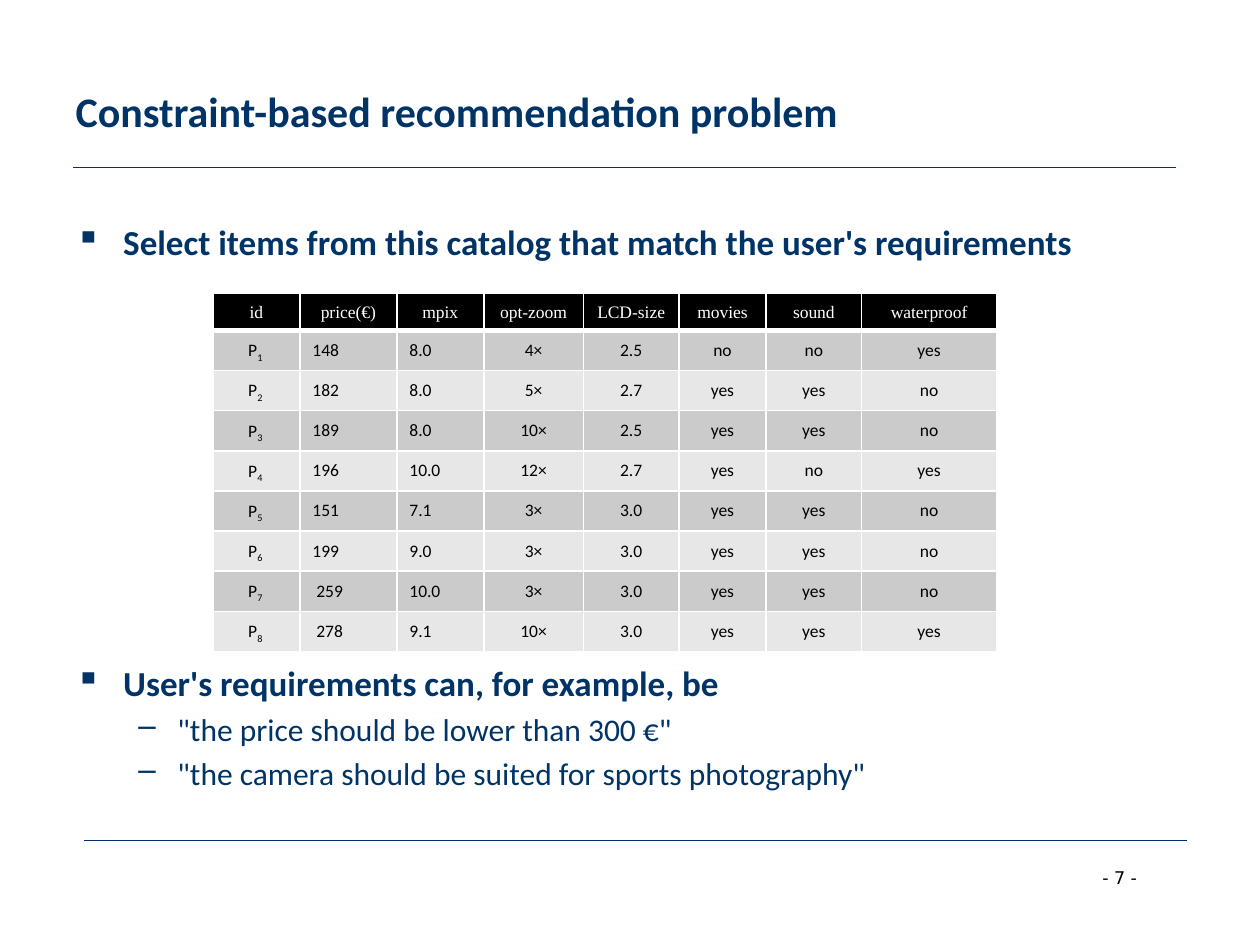
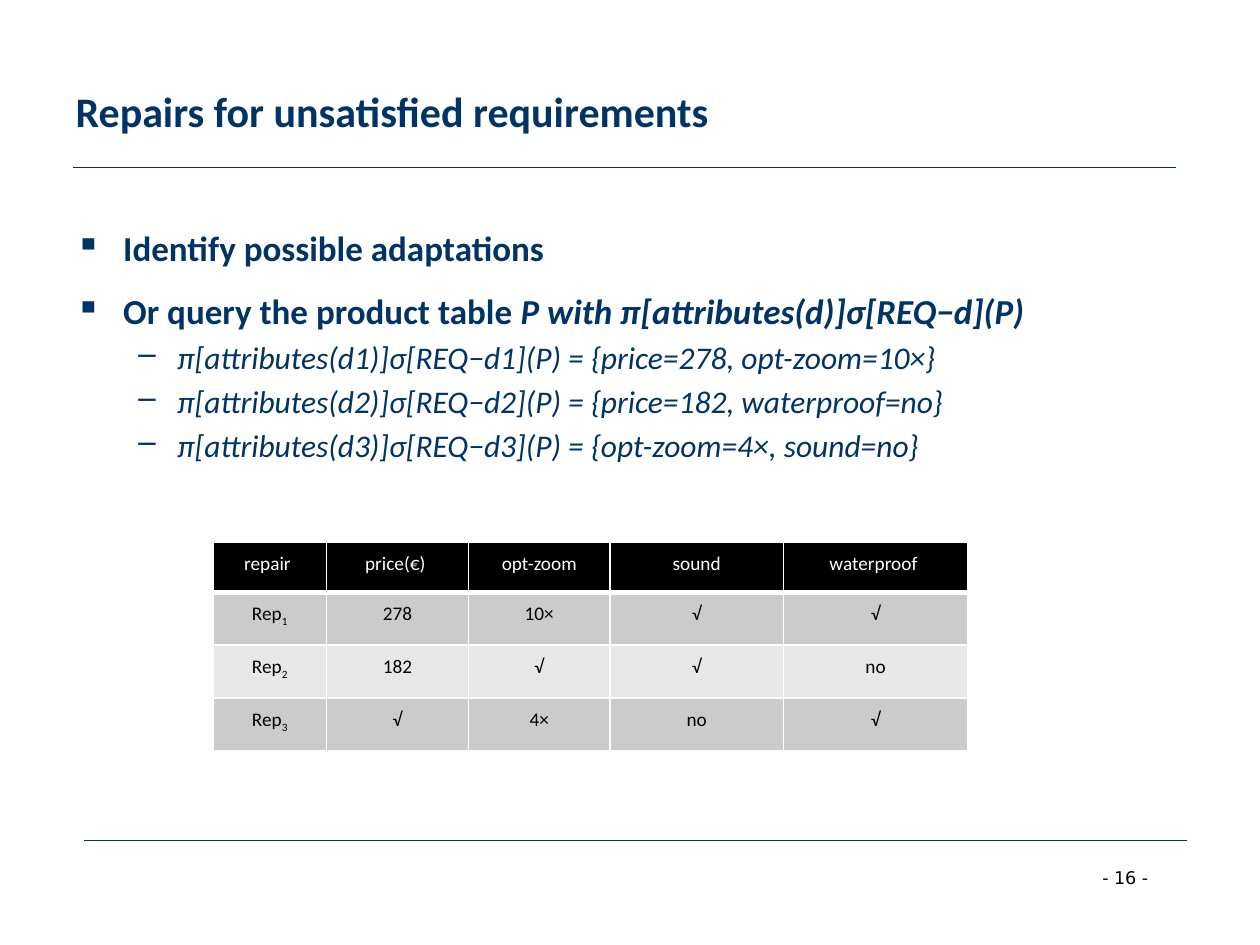
from dataclasses import dataclass

from lxml.etree import SubElement
from pptx import Presentation
from pptx.dml.color import RGBColor
from pptx.enum.shapes import MSO_CONNECTOR
from pptx.enum.text import MSO_ANCHOR, PP_ALIGN
from pptx.oxml.ns import qn
from pptx.util import Inches, Pt


@dataclass(frozen=True)
class Theme:
    navy: RGBColor = RGBColor(0x00, 0x33, 0x66)
    black: RGBColor = RGBColor(0x00, 0x00, 0x00)
    white: RGBColor = RGBColor(0xFF, 0xFF, 0xFF)
    bands: tuple = (RGBColor(0xCB, 0xCB, 0xCB), RGBColor(0xE7, 0xE7, 0xE7))
    sans: str = "Calibri"
    serif: str = "Times New Roman"
    page: str = "DejaVu Sans"
    title: int = 24
    point: int = 20
    sub: int = 18
    foot: int = 10
    rule: float = 0.75


LEVELS = (
    {"mark": "▪", "left": 0.38, "hang": 0.38, "gap": 12},
    {"mark": "–", "left": 0.81, "hang": 0.31, "gap": 3.6},
)

CATALOG = """id|price(€)|mpix|opt-zoom|LCD-size|movies|sound|waterproof
P_1 |148|8.0|4×|2.5|no|no|yes
P_2 |182|8.0|5×|2.7|yes|yes|no
P_3 |189|8.0|10×|2.5|yes|yes|no
P_4 |196|10.0|12×|2.7|yes|no|yes
P_5 |151|7.1|3×|3.0|yes|yes|no
P_6 |199|9.0|3×|3.0|yes|yes|no
P_7 | 259|10.0|3×|3.0|yes|yes|no
P_8 | 278|9.1|10×|3.0|yes|yes|yes"""

REPAIRS = """repair |price(€) |opt-zoom|sound|waterproof 
Rep_1|278|10×|√|√
Rep_2|182|√|√|no
Rep_3|√|4×|no|√"""


class Deck:
    """Hold the style and the current slide, and draw each kind of element."""

    def __init__(self, theme):
        self.theme = theme
        self.show = Presentation()
        self.show.slide_width, self.show.slide_height = Inches(10), Inches(7.5)
        self.slide = None

    def style(self, item, form):
        for name, value in form.items():
            setattr(item, name, value)

    def words(self, para, text, color, **form):
        run = para.add_run()
        run.text = text
        self.style(run.font, form)
        run.font.color.rgb = color
        return run

    def start(self, title, number):
        look = self.theme
        self.slide = self.show.slides.add_slide(self.show.slide_layouts[5])
        for left, top in ((0.58, 1.33), (0.67, 6.67)):
            self.line(left, top, 8.75)
        self.foot(f"- {number} -")
        head = self.slide.shapes.title
        self.style(head, {"left": Inches(0.5), "top": Inches(0.25),
                          "width": Inches(9), "height": Inches(1.25)})
        self.style(head.text_frame, {"vertical_anchor": MSO_ANCHOR.MIDDLE,
                                     "word_wrap": True})
        para = head.text_frame.paragraphs[0]
        para.alignment = PP_ALIGN.LEFT
        self.words(para, title, look.navy, name=look.sans,
                   size=Pt(look.title), bold=True)

    def line(self, left, top, width):
        rule = self.slide.shapes.add_connector(
            MSO_CONNECTOR.STRAIGHT, Inches(left), Inches(top),
            Inches(left + width), Inches(top))
        rule.line.color.rgb = self.theme.navy
        rule.line.width = Pt(self.theme.rule)
        SubElement(rule._element.spPr, qn("a:effectLst"))

    def box(self, left, top, width, height):
        frame = self.slide.shapes.add_textbox(
            Inches(left), Inches(top), Inches(width), Inches(height)).text_frame
        frame.word_wrap = True
        return frame

    def foot(self, text):
        look = self.theme
        frame = self.box(8.65, 6.83, 0.76, 0.27)
        self.words(frame.paragraphs[0], text, look.black,
                   name=look.page, size=Pt(look.foot))

    def body(self, top, height, items):
        look = self.theme
        frame = self.box(0.5, top, 9, height)
        for order, (level, parts, *gap) in enumerate(items):
            para = frame.add_paragraph() if order else frame.paragraphs[0]
            rank = LEVELS[level]
            props = para._p.get_or_add_pPr()
            props.set("marL", str(Inches(rank["left"])))
            props.set("indent", str(-Inches(rank["hang"])))
            SubElement(props, qn("a:buChar")).set("char", rank["mark"])
            space = gap[0] if gap else rank["gap"]
            self.style(para, {"level": level,
                              "space_before": Pt(space if order else 0)})
            for text, slant in parts:
                self.words(para, text, look.navy, name=look.sans,
                           size=Pt(look.sub if level else look.point),
                           bold=not level, italic=slant)

    def edge(self, cell, side, width):
        line = SubElement(cell._tc.get_or_add_tcPr(), qn(f"a:ln{side}"))
        line.set("w", str(Pt(width)))
        fill = SubElement(line, qn("a:solidFill"))
        SubElement(fill, qn("a:srgbClr")).set("val", str(self.theme.white))

    def table(self, top, source, widths, heights, size, head, left=(), after=0):
        look = self.theme
        rows = [line.split("|") for line in source.split("\n")]
        grid = self.slide.shapes.add_table(
            len(rows), len(widths), Inches(1.69), Inches(top),
            Inches(sum(widths)), Inches(sum(heights))).table
        for col, width in zip(grid.columns, widths):
            col.width = Inches(width)
        for row, height in zip(grid.rows, heights):
            row.height = Inches(height)
        for y, row in enumerate(rows):
            for x, text in enumerate(row):
                cell = grid.cell(y, x)
                for side in "LRTB":
                    thick = (side, y) in (("B", 0), ("T", 1))
                    self.edge(cell, side, 3 if thick else 1)
                cell.fill.solid()
                cell.fill.fore_color.rgb = look.bands[(y - 1) % 2] if y else look.black
                para = cell.text_frame.paragraphs[0]
                flush = y and x in left
                self.style(para, {
                    "alignment": PP_ALIGN.LEFT if flush else PP_ALIGN.CENTER,
                    "line_spacing": 1.15, "space_after": Pt(after)})
                form = {"name": look.sans if y else head,
                        "size": Pt(size), "bold": False}
                color = look.black if y else look.white
                base, _, low = text.partition("_")
                self.words(para, base, color, **form)
                if low:
                    run = self.words(para, low, color, **form)
                    run.font._element.set("baseline", "-25000")


def main():
    look = Theme()
    deck = Deck(look)

    deck.start("Constraint-based recommendation problem", 7)
    deck.body(1.7, 5.2, [
        (0, [("Select items from this catalog that match the user's requirements", False)]),
        (0, [("User's requirements can, for example, be", False)], 228),
        (1, [('"the price should be lower than 300 €"', False)]),
        (1, [('"the camera should be suited for sports photography"', False)]),
    ])
    deck.table(2.33, CATALOG, (0.69, 0.77, 0.69, 0.79, 0.76, 0.69, 0.76, 1.07),
               [0.29] + [0.3] * 8, 10, look.serif, left=(1, 2))

    deck.start("Repairs for unsatisfied requirements", 16)
    facts = ("price=278, opt-zoom=10×", "price=182, waterproof=no",
             "opt-zoom=4×, sound=no")
    deck.body(1.75, 4.95, [
        (0, [("Identify possible adaptations", False)]),
        (0, [("Or query the product table ", False),
             ("P with π[attributes(d)]σ[REQ−d](P)", True)]),
    ] + [
        (1, [(f"π[attributes(d{n})]σ[REQ−d{n}](P) = {{{fact}}}", True)])
        for n, fact in enumerate(facts, 1)
    ])
    deck.table(4.3, REPAIRS, (0.9, 1.13, 1.12, 1.38, 1.46),
               [0.4] + [0.42] * 3, 11, look.sans, after=10)

    deck.show.save("out.pptx")


if __name__ == "__main__":
    main()
